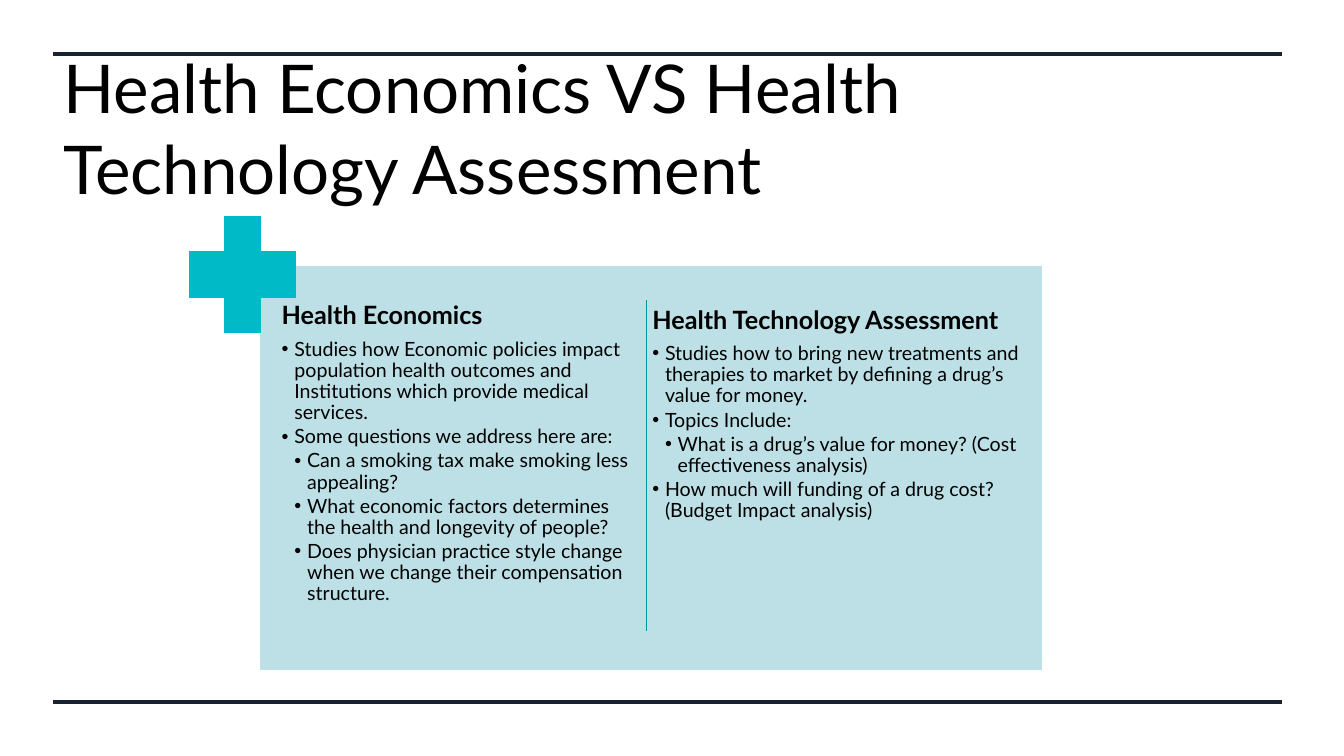
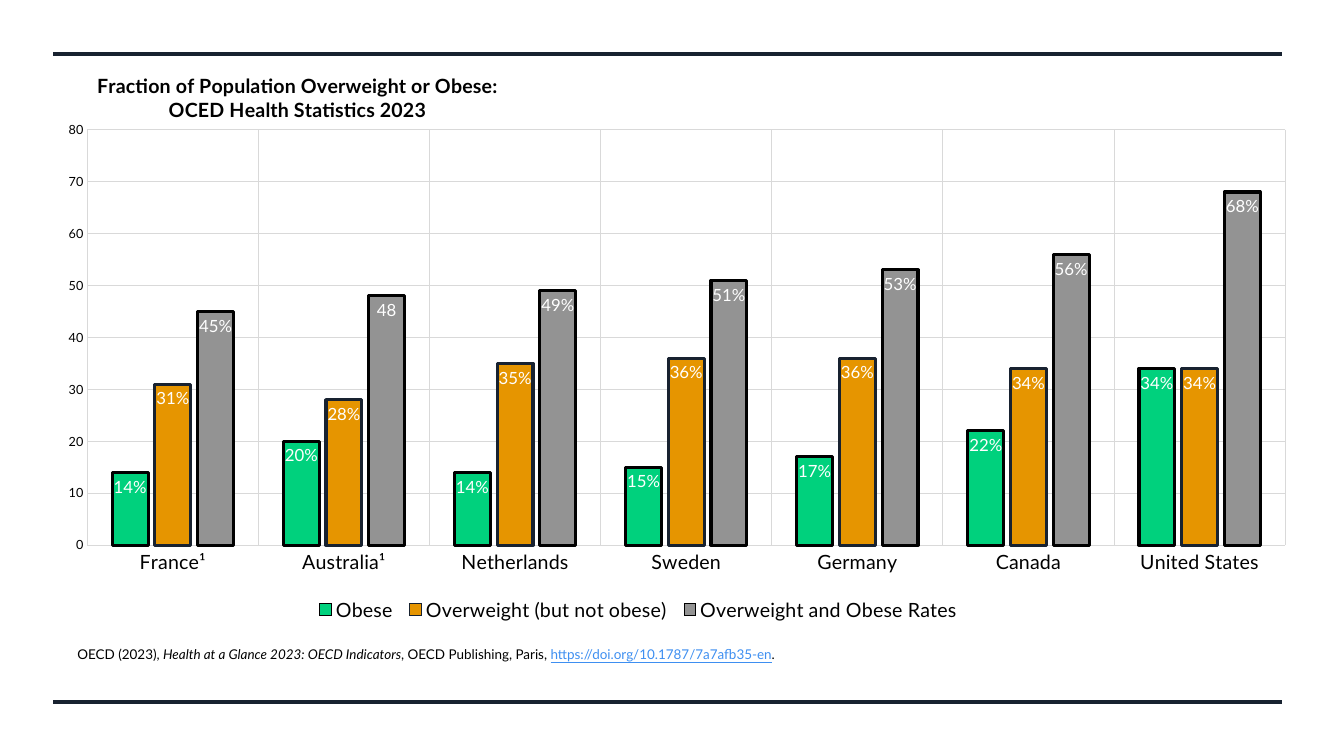
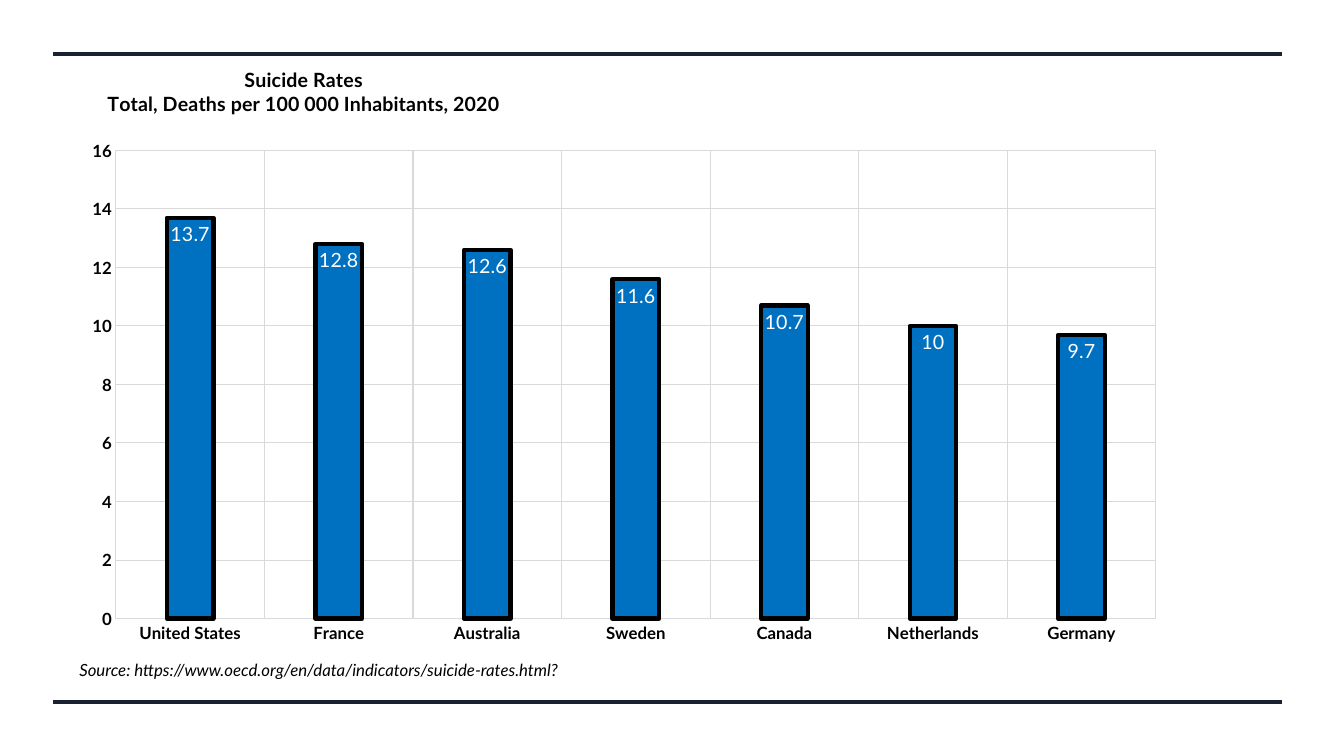
"""Build three slides on health economics, obesity and suicide rates."""
from lxml import etree
from pptx import Presentation
from pptx import util as u
from pptx.chart import data
from pptx.dml import color as dml
from pptx.enum import chart as charts
from pptx.enum import shapes, text
from pptx.oxml import ns

FONT, BULLET_FONT = "Lato", "Arial"
BLACK, WHITE, NAVY, GRID = "000000", "FFFFFF", "182230", "D9D9D9"
PANEL, CROSS, DIVIDER, LINK = "BDE0E6", "00BAC8", "0095A0", "3E8FF1"
TITLE_ONLY, BLANK = 5, 6

ECONOMICS = [
    (1, "Studies how Economic policies impact population health outcomes and "
        "Institutions which provide medical services."),
    (1, "Some questions we address here are:"),
    (2, "Can a smoking tax make smoking less appealing?"),
    (2, "What economic factors determines the health and longevity of people?"),
    (2, "Does physician practice style change when we change their "
        "compensation structure."),
]
ASSESSMENT = [
    (1, "Studies how to bring new treatments and therapies to market by "
        "defining a drug’s value for money."),
    (1, "Topics Include:"),
    (2, "What is a drug’s value for money? (Cost effectiveness analysis)"),
    (1, "How much will funding of a drug cost? (Budget Impact analysis)"),
]
OBESITY = {
    "France¹": (14, 31, 45),
    "Australia¹": (20, 28, 48),
    "Netherlands": (14, 35, 49),
    "Sweden": (15, 36, 51),
    "Germany": (17, 36, 53),
    "Canada": (22, 34, 56),
    "United States": (34, 34, 68),
}
OBESITY_SERIES = [
    ("Obese", "00D17D", BLACK),
    ("Overweight (but not obese)", "E69500", NAVY),
    ("Overweight and Obese Rates", "939393", BLACK),
]
SUICIDE = {
    "United States": (13.7,),
    "France": (12.8,),
    "Australia": (12.6,),
    "Sweden": (11.6,),
    "Canada": (10.7,),
    "Netherlands": (10,),
    "Germany": (9.7,),
}


def rgb(value):
    return dml.RGBColor.from_string(value)


def cm(*lengths):
    return [u.Cm(length) for length in lengths]


def style_font(font, size, color=BLACK, bold=False, italic=False, underline=False):
    font.name = FONT
    font.size = u.Pt(size)
    font.color.rgb = rgb(color)
    font.bold, font.italic, font.underline = bold, italic, underline


def write(paragraph, content, **style):
    run = paragraph.add_run()
    run.text = content
    style_font(run.font, **style)


def style_line(line, color, width):
    line.color.rgb = rgb(color)
    line.width = u.Pt(width)


def add_line(slide, start, end, color, width):
    line = slide.shapes.add_connector(
        shapes.MSO_CONNECTOR.STRAIGHT, *cm(*start), *cm(*end))
    style_line(line.line, color, width)
    etree.SubElement(line.element.spPr, ns.qn("a:effectLst"))
    return line


def add_block(slide, kind, box, fill, outline):
    shape = slide.shapes.add_shape(kind, *cm(*box))
    shape.shadow.inherit = False
    shape.fill.solid()
    shape.fill.fore_color.rgb = rgb(fill)
    style_line(shape.line, outline, 1)
    return shape


def add_text_box(slide, box, wrap=True):
    frame = slide.shapes.add_textbox(*cm(*box)).text_frame
    frame.word_wrap = wrap
    return frame


def add_master_rules(presentation, slide):
    """Draw the top and bottom rules and move them to the slide master."""
    for y in (1.36, 17.69):
        rule = add_line(slide, (1.34, y), (32.31, y), NAVY, 2.25)
        presentation.slide_master.element.cSld.spTree.append(rule.element)


def add_bullet(paragraph, level):
    paragraph.level = level
    properties = paragraph._p.get_or_add_pPr()
    properties.set("marL", str(u.Cm(0.32 * level)))
    properties.set("indent", str(-u.Cm(0.32)))
    etree.SubElement(properties, ns.qn("a:buFont")).set("typeface", BULLET_FONT)
    etree.SubElement(properties, ns.qn("a:buChar")).set("char", "•")


def add_topic(slide, box, heading, bullets):
    """Write a heading and its bullets inside the box."""
    frame = add_text_box(slide, box)
    frame.margin_left, frame.margin_top, frame.margin_right, frame.margin_bottom = (
        cm(0.1, 0.1, 0.1, 0.1))
    paragraph = frame.paragraphs[0]
    paragraph.line_spacing, paragraph.space_after = 0.9, u.Pt(6.3)
    write(paragraph, heading, size=18, bold=True)
    for level, content in bullets:
        paragraph = frame.add_paragraph()
        add_bullet(paragraph, level)
        paragraph.line_spacing, paragraph.space_after = 0.9, u.Pt(2.1)
        write(paragraph, content, size=14)


def add_comparison(slide, left, top, width, height):
    """Draw the two-column panel with its cross and divider."""
    add_block(slide, shapes.MSO_SHAPE.RECTANGLE,
              (left, top, width, height), PANEL, WHITE)
    add_topic(slide, (left + 0.46, top + 0.86, 9.17, 8.74),
              "Health Economics", ECONOMICS)
    add_topic(slide, (left + 9.8, top + 0.97, 10.08, 8.74),
              "Health Technology Assessment", ASSESSMENT)
    cross = add_block(slide, shapes.MSO_SHAPE.CROSS,
                      (left - 1.76, top - 1.22, 2.67, 2.92), CROSS, CROSS)
    cross.adjustments[0] = 0.33
    add_line(slide, (left + 9.75, top + 0.89), (left + 9.75, top + 9.22), DIVIDER, 1)


def set_title(slide, content, box):
    title = slide.shapes.title
    title.left, title.top, title.width, title.height = cm(*box)
    frame = title.text_frame
    frame.auto_size = text.MSO_AUTO_SIZE.NONE
    frame.vertical_anchor = text.MSO_ANCHOR.MIDDLE
    frame.paragraphs[0].alignment = text.PP_ALIGN.LEFT
    write(frame.paragraphs[0], content, size=48)


def set_layout(element, chart_box, position, inner=False):
    """Fix a chart part at a position given in centimetres within the chart."""
    for old in element.findall(ns.qn("c:layout")):
        element.remove(old)
    layout = etree.Element(ns.qn("c:layout"))
    manual = etree.SubElement(layout, ns.qn("c:manualLayout"))
    values = {"layoutTarget": "inner"} if inner else {}
    values.update(xMode="edge", yMode="edge")
    for name, length, whole in zip("xywh", position, chart_box[2:] * 2):
        values[name] = length / whole
    for name, value in values.items():
        etree.SubElement(manual, ns.qn("c:" + name)).set("val", str(value))
    overlay = element.find(ns.qn("c:overlay"))
    if overlay is not None:
        overlay.addprevious(layout)
    else:
        element.insert(0, layout)


def style_axis(axis, size, bold):
    axis.major_tick_mark = axis.minor_tick_mark = charts.XL_TICK_MARK.NONE
    axis.has_major_gridlines = True
    style_line(axis.major_gridlines.format.line, GRID, 0.75)
    style_font(axis.tick_labels.font, size, bold=bold)


def style_series(series, fill, outline, width, size, number_format):
    series.format.fill.solid()
    series.format.fill.fore_color.rgb = rgb(fill)
    series.invert_if_negative = False
    style_line(series.format.line, outline, width)
    labels = series.data_labels
    labels.show_value = True
    labels.position = charts.XL_LABEL_POSITION.INSIDE_END
    labels.number_format = number_format
    labels.number_format_is_linked = False
    style_font(labels.font, size, WHITE)


def add_column_chart(slide, box, table, series_styles, title, title_at, plot_at,
                     top_value, step, gap, overlap, axis_sizes, bold_axes=False,
                     outline_width=2.25, label_size=12, label_format="General"):
    """Place a clustered column chart in the box and return it."""
    chart_data = data.CategoryChartData()
    chart_data.categories = list(table)
    for (name, _, _), values in zip(series_styles, zip(*table.values())):
        chart_data.add_series(name, values)
    chart = slide.shapes.add_chart(
        charts.XL_CHART_TYPE.COLUMN_CLUSTERED, *cm(*box), chart_data).chart
    style_font(chart.font, 10)
    chart.has_legend = False
    chart.has_title = True
    frame = chart.chart_title.text_frame
    for index, line in enumerate(title):
        paragraph = frame.add_paragraph() if index else frame.paragraphs[0]
        write(paragraph, line, size=14, bold=True)
    chart.chart_title.include_in_layout = False
    set_layout(chart.chart_title._element, box, title_at)
    set_layout(chart._chartSpace.chart.plotArea, box, plot_at, inner=True)
    for axis, size in zip((chart.category_axis, chart.value_axis), axis_sizes):
        style_axis(axis, size, bold_axes)
    style_line(chart.category_axis.format.line, GRID, 0.75)
    value_axis = chart.value_axis
    value_axis.format.line.fill.background()
    value_axis.minimum_scale, value_axis.maximum_scale = 0, top_value
    value_axis.major_unit = step
    plot = chart.plots[0]
    plot.gap_width, plot.overlap, plot.vary_by_categories = gap, overlap, False
    for series, (_, fill, outline) in zip(plot.series, series_styles):
        style_series(series, fill, outline, outline_width, label_size, label_format)
    return chart


def add_legend(chart, chart_box, position):
    chart.has_legend = True
    chart.legend.position = charts.XL_LEGEND_POSITION.BOTTOM
    chart.legend.include_in_layout = False
    style_font(chart.legend.font, 14)
    set_layout(chart.legend._element, chart_box, position)


def override_label(series, index, content):
    label = series.points[index].data_label
    write(label.text_frame.paragraphs[0], content, size=12, color=WHITE)
    label.position = charts.XL_LABEL_POSITION.INSIDE_END


def build_comparison_slide(slide):
    """Compare the two fields."""
    set_title(slide, "Health Economics VS Health Technology Assessment",
              (1.35, 1.65, 29.54, 3.1))
    add_comparison(slide, 6.54, 6.68, 19.74, 10.21)


def build_obesity_slide(slide):
    """Show overweight and obesity by country."""
    citation = add_text_box(slide, (1.7, 16.23, 29.18, 0.61)).paragraphs[0]
    citation.line_spacing = 0.8
    for content, style in [
        ("OECD (2023),\u00a0", {}),
        ("Health at a Glance 2023: OECD Indicators", {"italic": True}),
        (", OECD Publishing, Paris,\u00a0", {}),
        ("https://doi.org/10.1787/7a7afb35-en", {"color": LINK, "underline": True}),
        (".", {}),
    ]:
        write(citation, content, size=9.6, **style)
    box = (1.24, 1.32, 31.45, 14.68)
    chart = add_column_chart(
        slide, box, OBESITY, OBESITY_SERIES,
        ("Fraction of Population Overweight or Obese:", "OCED Health Statistics 2023"),
        title_at=(1.13, 0.41), plot_at=(0.96, 1.95, 30.19, 10.47),
        top_value=80, step=10, gap=139, overlap=-19, axis_sizes=(14, 9),
        label_format='0"%"')
    add_legend(chart, box, (6.55, 13.68, 16.6, 0.73))
    override_label(chart.plots[0].series[2], 1, "48")


def build_suicide_slide(slide):
    """Show suicide rates by country."""
    add_column_chart(
        slide, (1.75, 1.32, 27.91, 15.19), SUICIDE, [("Series 1", "0070C0", BLACK)],
        ("Suicide Rates", "Total, Deaths per 100 000 Inhabitants, 2020"),
        title_at=(0.88, 0.25), plot_at=(1.17, 2.47, 26.21, 11.8),
        top_value=16, step=2, gap=219, overlap=-27, axis_sizes=(12, 12),
        bold_axes=True, outline_width=3, label_size=14)
    source = add_text_box(slide, (1.75, 16.5, 12.98, 0.76), wrap=False)
    write(source.paragraphs[0],
          "Source: https://www.oecd.org/en/data/indicators/suicide-rates.html?",
          size=12, italic=True)


def main():
    presentation = Presentation()
    presentation.slide_width, presentation.slide_height = cm(33.87, 19.05)
    builders = [
        (TITLE_ONLY, build_comparison_slide),
        (BLANK, build_obesity_slide),
        (BLANK, build_suicide_slide),
    ]
    for layout, build in builders:
        build(presentation.slides.add_slide(presentation.slide_layouts[layout]))
    add_master_rules(presentation, presentation.slides[0])
    presentation.save("out.pptx")


if __name__ == "__main__":
    main()
